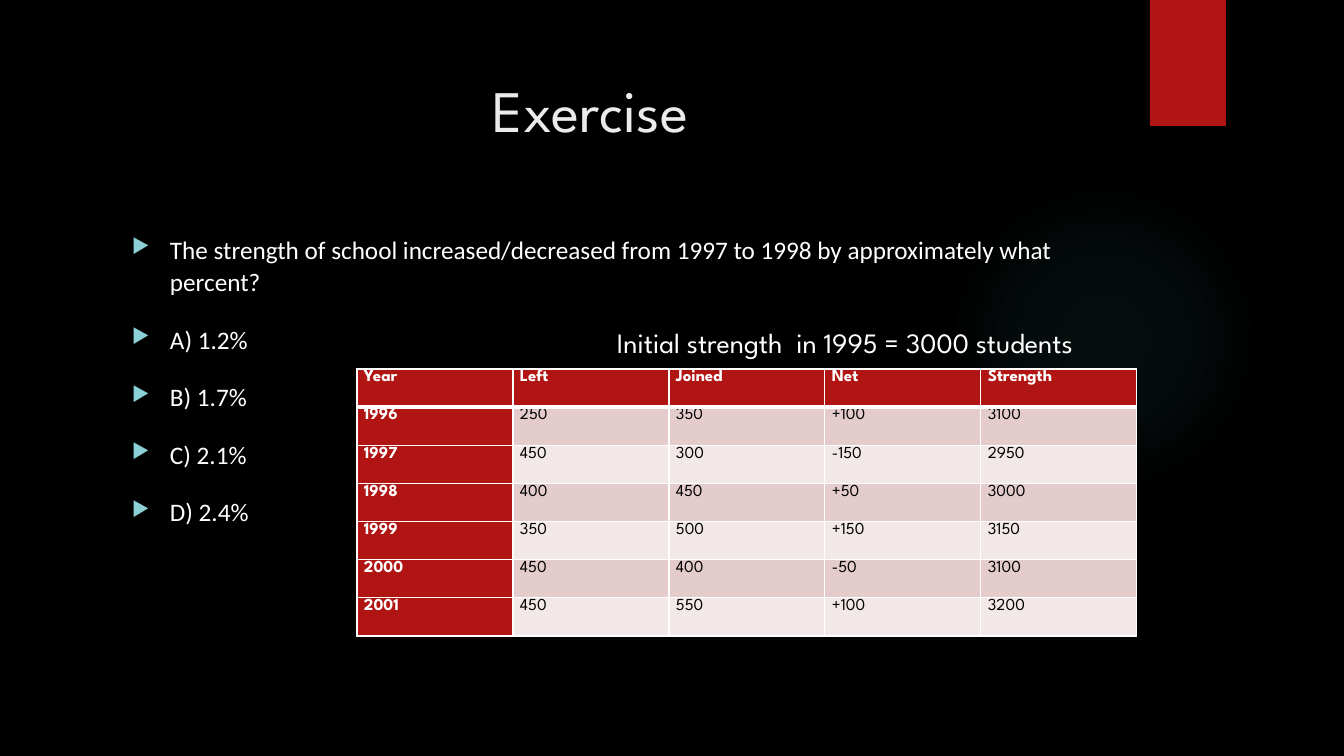
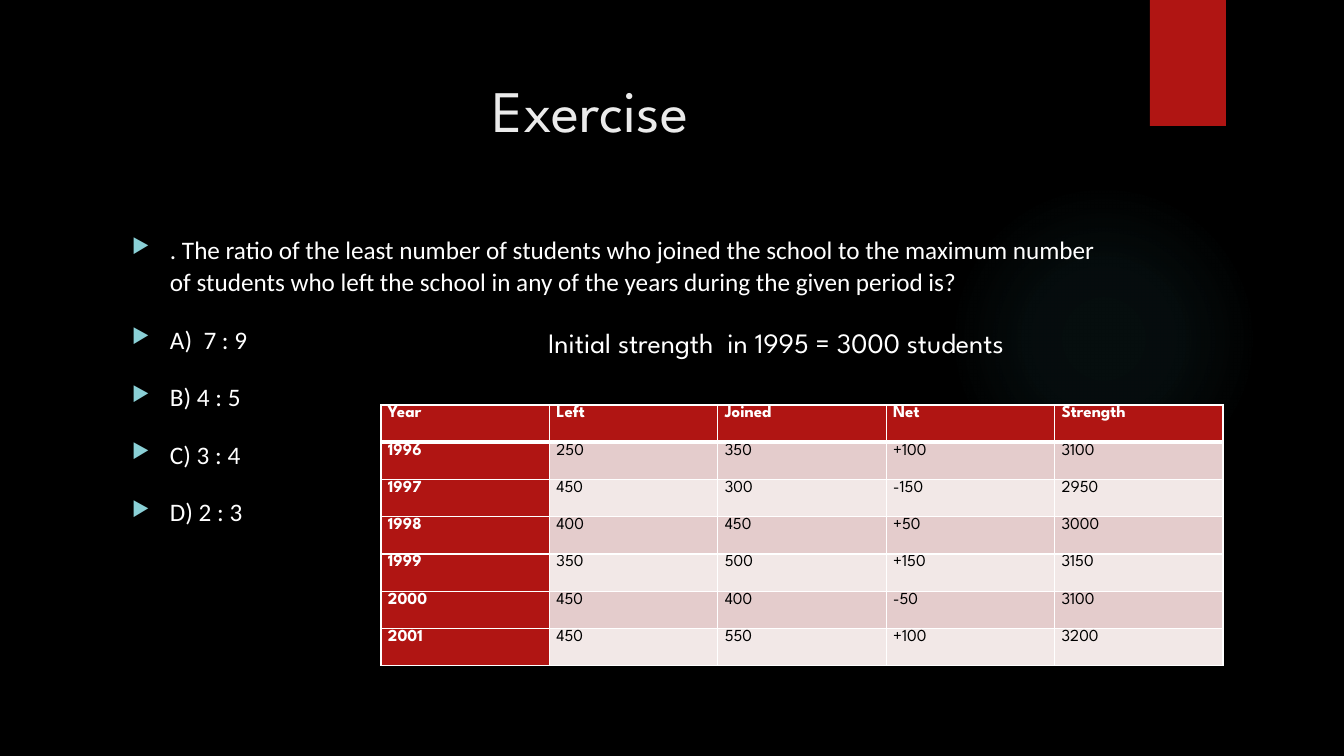
"""Build two exercise slides about school strength, each with a question, answers and a table."""
from lxml import etree
from pptx import Presentation
from pptx.dml.color import RGBColor
from pptx.enum.shapes import MSO_SHAPE
from pptx.enum.text import MSO_ANCHOR, PP_ALIGN
from pptx.oxml import parse_xml
from pptx.oxml.ns import qn
from pptx.util import Emu, Pt

RECT, OVAL = MSO_SHAPE.RECTANGLE, MSO_SHAPE.OVAL
TOP, MIDDLE = MSO_ANCHOR.TOP, MSO_ANCHOR.MIDDLE
LEFT, CENTER = PP_ALIGN.LEFT, PP_ALIGN.CENTER
EMU_PER_PX = 914400 / 100.8
TITLE_ONLY = 5
DRAWING_NS = "http://schemas.openxmlformats.org/drawingml/2006/main"

HEADING_FONT, BODY_FONT = "League Spartan", "Calibri"
BLACK, WHITE, RED = "000000", "FFFFFF", "B01513"
TITLE_COLOR, BULLET_COLOR, GLOW_COLOR = "EBEBEB", "8AD0D6", "50B9C1"
BAND_COLORS = ("E4CCCC", "F2E8E7")
GLOW_STOPS = ((0, 7), (36, 6), (69, 0))

SLIDE_SIZE = (1344, 756)
TITLE_AREA = (72, 50, 1037, 155)
TITLE_INSET = 24
BODY_AREA = (122, 227, 986, 463)
BODY_INSETS = (10, 5, 10, 5)
CAPTION_TOP, CAPTION_WIDTH, CAPTION_HEIGHT = 322, 500, 40
TAG_AREA = (1150, 0, 76, 126)
GLOW_AREA = (949, 184, 310, 310)
BULLET_INDENT = 38
CELL_INSET = 7

TITLE = "Exercise"
CAPTION = "Initial strength  in 1995 = 3000 students"
STRENGTH_TABLE = [
    ("Year", "Left", "Joined", "Net", "Strength"),
    ("1996", "250", "350", "+100", "3100"),
    ("1997", "450", "300", "-150", "2950"),
    ("1998", "400", "450", "+50", "3000"),
    ("1999", "350", "500", "+150", "3150"),
    ("2000", "450", "400", "-50", "3100"),
    ("2001", "450", "550", "+100", "3200"),
]
EXERCISES = [
    {
        "lines": [
            "The strength of school increased/decreased from 1997 to 1998 "
            "by approximately what percent?",
            "A) 1.2%", "B) 1.7%", "C) 2.1%", "D) 2.4%",
        ],
        "caption_left": 617,
        "table_area": (357, 369, 780, 267),
    },
    {
        "lines": [
            ". The ratio of the least number of students who joined the school to the maximum "
            "number of students who left the school in any of the years during the given period is?",
            "A)  7 : 9", "B) 4 : 5", "C) 3 : 4", "D) 2 : 3",
        ],
        "caption_left": 548,
        "table_area": (381, 405, 842, 261),
    },
]


def px(length):
    return Emu(round(length * EMU_PER_PX))


def place(area):
    return [px(length) for length in area]


def color(value):
    return RGBColor.from_string(value)


def style_runs(para, font, size, text_color, bold=False):
    for span in para.runs:
        span.font.name = font
        span.font.size = Pt(size)
        span.font.bold = bold
        span.font.color.rgb = color(text_color)


def set_frame(frame, insets=(0, 0, 0, 0), anchor=TOP):
    frame.word_wrap = True
    frame.vertical_anchor = anchor
    (frame.margin_left, frame.margin_top,
     frame.margin_right, frame.margin_bottom) = place(insets)


def add_plain_shape(page, kind, area, fill_color):
    shape = page.shapes.add_shape(kind, *place(area))
    shape.shadow.inherit = False
    shape.fill.solid()
    shape.fill.fore_color.rgb = color(fill_color)
    shape.line.fill.background()
    return shape


def make_glow(shape):
    stops = "".join(
        f'<a:gs pos="{position * 1000}"><a:srgbClr val="{GLOW_COLOR}">'
        f'<a:alpha val="{opacity * 1000}"/></a:srgbClr></a:gs>'
        for position, opacity in GLOW_STOPS)
    gradient = parse_xml(
        f'<a:gradFill xmlns:a="{DRAWING_NS}" rotWithShape="1"><a:gsLst>{stops}</a:gsLst>'
        '<a:path path="circle"><a:fillToRect l="50000" t="50000" r="50000" b="50000"/></a:path>'
        '</a:gradFill>')
    properties = shape.element.spPr
    properties.replace(properties.find(qn("a:solidFill")), gradient)


def decorate_layout(layout, page):
    layout.background.fill.solid()
    layout.background.fill.fore_color.rgb = color(BLACK)
    glow = add_plain_shape(page, OVAL, GLOW_AREA, GLOW_COLOR)
    make_glow(glow)
    tag = add_plain_shape(page, RECT, TAG_AREA, RED)
    for index, shape in enumerate((glow, tag), start=2):
        layout.shapes.element.insert(index, shape.element)


def set_title(page):
    title = page.shapes.title
    title.left, title.top, title.width, title.height = place(TITLE_AREA)
    title.text_frame.text = TITLE
    set_frame(title.text_frame, (10, TITLE_INSET, 10, 0))
    para = title.text_frame.paragraphs[0]
    para.alignment = CENTER
    style_runs(para, HEADING_FONT, 42, TITLE_COLOR)


def add_bullet(para):
    properties = para._p.get_or_add_pPr()
    properties.set("marL", str(px(BULLET_INDENT)))
    properties.set("indent", str(-px(BULLET_INDENT)))
    bullet_color = etree.SubElement(properties, qn("a:buClr"))
    etree.SubElement(bullet_color, qn("a:srgbClr"), val=BULLET_COLOR)
    etree.SubElement(properties, qn("a:buSzPct"), val="80000")
    etree.SubElement(properties, qn("a:buChar"), char="▶")


def add_question(page, lines):
    frame = page.shapes.add_textbox(*place(BODY_AREA)).text_frame
    set_frame(frame, BODY_INSETS)
    frame.text = "\n".join(lines)
    for para in frame.paragraphs:
        para.alignment = LEFT
        para.line_spacing = 1.07
        para.space_before, para.space_after = Pt(10), Pt(8)
        add_bullet(para)
        style_runs(para, BODY_FONT, 18, WHITE)


def add_caption(page, left):
    area = (left, CAPTION_TOP, CAPTION_WIDTH, CAPTION_HEIGHT)
    frame = page.shapes.add_textbox(*place(area)).text_frame
    set_frame(frame, anchor=MIDDLE)
    frame.text = CAPTION
    style_runs(frame.paragraphs[0], HEADING_FONT, 20, WHITE)


def set_borders(cell, top, bottom):
    properties = cell._tc.get_or_add_tcPr()
    widths = {"lnL": 1, "lnR": 1, "lnT": top, "lnB": bottom}
    for index, (side, width) in enumerate(widths.items()):
        properties.insert(index, parse_xml(
            f'<a:{side} xmlns:a="{DRAWING_NS}" w="{Pt(width)}"><a:solidFill>'
            f'<a:srgbClr val="{WHITE}"/></a:solidFill></a:{side}>'))


def add_strength_table(page, area):
    table = page.shapes.add_table(
        len(STRENGTH_TABLE), len(STRENGTH_TABLE[0]), *place(area)).table
    for row, values in enumerate(STRENGTH_TABLE):
        for column, value in enumerate(values):
            cell = table.cell(row, column)
            is_head = row == 0 or column == 0
            cell.text_frame.text = value
            cell.margin_left = cell.margin_right = px(CELL_INSET)
            cell.margin_top = cell.margin_bottom = 0
            cell.vertical_anchor = TOP
            cell.fill.solid()
            cell.fill.fore_color.rgb = color(RED if is_head else BAND_COLORS[(row - 1) % 2])
            set_borders(cell, 3 if row == 1 else 1, 3 if row == 0 else 1)
            para = cell.text_frame.paragraphs[0]
            para.line_spacing = 1.07
            para.space_after = Pt(8)
            style_runs(para, HEADING_FONT, 12, WHITE if is_head else BLACK, is_head)


def main():
    deck = Presentation()
    deck.slide_width, deck.slide_height = place(SLIDE_SIZE)
    layout = deck.slide_layouts[TITLE_ONLY]
    pages = [deck.slides.add_slide(layout) for _ in EXERCISES]
    decorate_layout(layout, pages[0])
    for page, exercise in zip(pages, EXERCISES):
        set_title(page)
        add_question(page, exercise["lines"])
        add_caption(page, exercise["caption_left"])
        add_strength_table(page, exercise["table_area"])
    deck.save("out.pptx")


if __name__ == "__main__":
    main()
